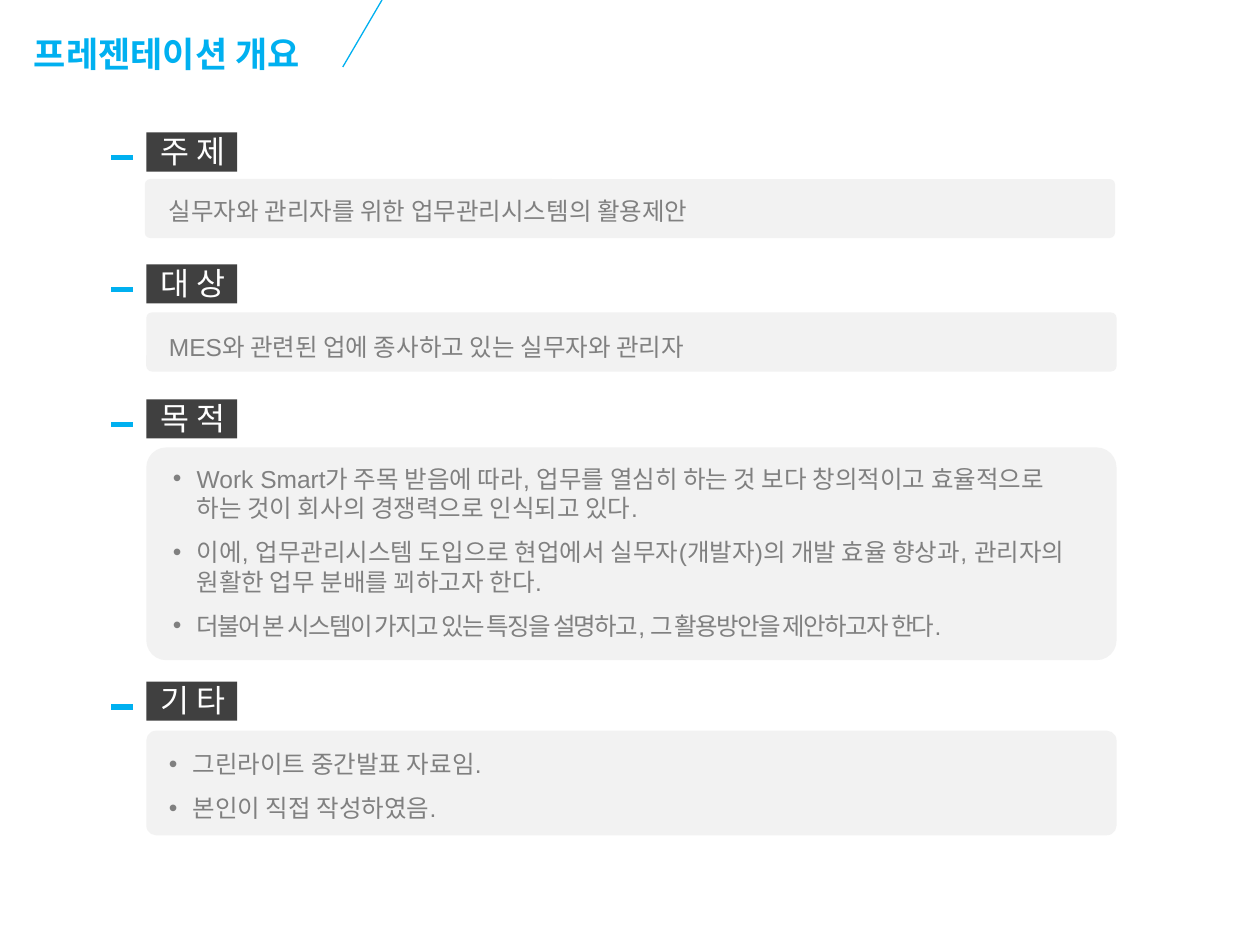
"""Build the presentation overview slide with four labelled sections."""
from dataclasses import dataclass

from lxml import etree
from pptx import Presentation
from pptx.dml.color import RGBColor
from pptx.enum import shapes, text
from pptx.oxml.ns import qn
from pptx.util import Cm, Pt


@dataclass(frozen=True)
class Theme:
    accent: RGBColor = RGBColor(0x00, 0xB0, 0xF0)
    tag: RGBColor = RGBColor(0x40, 0x40, 0x40)
    panel: RGBColor = RGBColor(0xF2, 0xF2, 0xF2)
    body: RGBColor = RGBColor(0x80, 0x80, 0x80)
    white: RGBColor = RGBColor(0xFF, 0xFF, 0xFF)
    heading_font: str = "Noto Sans CJK KR"
    body_font: str = "Arial"
    title_size: int = 20
    tag_size: int = 18
    body_size: int = 14


@dataclass(frozen=True)
class Box:
    left: float
    top: float
    width: float
    height: float

    def lengths(self) -> tuple:
        return Cm(self.left), Cm(self.top), Cm(self.width), Cm(self.height)


@dataclass(frozen=True)
class Section:
    label: str
    tag_top: float
    panel: Box
    body: Box
    lines: tuple
    bullets: bool = False
    line_spacing: float = 1.5
    gap: float = 0
    wrap: bool = True
    tight_last: bool = False


THEME = Theme()
TITLE = "프레젠테이션 개요"
INDENT = Cm(0.48)
SECTIONS = (
    Section("주 제", 2.67, Box(2.92, 3.61, 19.56, 1.19), Box(3.15, 3.53, 16.15, 1.04),
            ("실무자와 관리자를 위한 업무관리시스템의 활용제안",)),
    Section("대 상", 5.33, Box(2.95, 6.3, 19.56, 1.19), Box(3.15, 6.27, 12.01, 1.04),
            ("MES와 관련된 업에 종사하고 있는 실무자와 관리자",), wrap=False),
    Section("목 적", 8.05, Box(2.95, 9.02, 19.56, 4.29), Box(3.23, 9.22, 18.87, 3.84),
            ("Work Smart가 주목 받음에 따라, 업무를 열심히 하는 것 보다 창의적이고 "
             "효율적으로 하는 것이 회사의 경쟁력으로 인식되고 있다.",
             "이에, 업무관리시스템 도입으로 현업에서 실무자(개발자)의 개발 효율 향상과, "
             "관리자의 원활한 업무 분배를 꾀하고자 한다.",
             "더불어 본 시스템이 가지고 있는 특징을 설명하고, 그 활용방안을 제안하고자 한다."),
            bullets=True, line_spacing=1, gap=8.4, tight_last=True),
    Section("기 타", 13.74, Box(2.95, 14.73, 19.56, 2.11), Box(3.15, 14.68, 16.15, 2.06),
            ("그린라이트 중간발표 자료임.", "본인이 직접 작성하였음."), bullets=True),
)


def add_line(slide, start: tuple, end: tuple, width: float) -> None:
    line = slide.shapes.add_connector(
        shapes.MSO_CONNECTOR.STRAIGHT, *(Cm(v) for v in start + end))
    line.line.color.rgb = THEME.accent
    line.line.width = Pt(width)
    etree.SubElement(line._element.spPr, qn("a:effectLst"))


def add_block(slide, kind, box: Box, color: RGBColor):
    sp = slide.shapes.add_shape(kind, *box.lengths())
    sp.shadow.inherit = False
    sp.fill.solid()
    sp.fill.fore_color.rgb = color
    sp.line.fill.background()
    return sp


def place(sp, box: Box, wrap: bool):
    sp.left, sp.top, sp.width, sp.height = box.lengths()
    tf = sp.text_frame
    tf.word_wrap = wrap
    tf.auto_size = text.MSO_AUTO_SIZE.NONE
    tf.vertical_anchor = text.MSO_ANCHOR.TOP
    return tf


def style(p, font: str, size: int, color: RGBColor, align, bold: bool = False) -> None:
    p.font.name, p.font.size, p.font.bold = font, Pt(size), bold
    p.font.color.rgb = color
    p.alignment = align


def set_bullet(p, shown: bool) -> None:
    pPr = p._p.get_or_add_pPr()
    pPr.set("marL", str(INDENT if shown else 0))
    pPr.set("indent", str(-INDENT if shown else 0))
    tag = "a:buChar" if shown else "a:buNone"
    bullet = etree.Element(qn(tag), {"char": "•"} if shown else {})
    pPr.find(qn("a:defRPr")).addprevious(bullet)


def add_tag(slide, section: Section) -> None:
    top = section.tag_top
    add_line(slide, (2.24, top + 0.51), (2.69, top + 0.51), 3)
    add_block(slide, shapes.MSO_SHAPE.RECTANGLE, Box(2.95, top, 1.83, 0.79), THEME.tag)
    box = Box(2.87, top - 0.14, 2.03, 1.02)
    tf = place(slide.shapes.add_textbox(*box.lengths()), box, False)
    p = tf.paragraphs[0]
    p.text = section.label
    style(p, THEME.heading_font, THEME.tag_size, THEME.white, text.PP_ALIGN.CENTER)


def fill_body(sp, section: Section) -> None:
    tf = place(sp, section.body, section.wrap)
    tf.text = "\n".join(section.lines)
    for i, p in enumerate(tf.paragraphs):
        style(p, THEME.body_font, THEME.body_size, THEME.body, text.PP_ALIGN.LEFT)
        p.line_spacing = section.line_spacing
        p.space_before = Pt(section.gap if i else 0)
        set_bullet(p, section.bullets)
    if section.tight_last:
        tf.paragraphs[-1].runs[0].font._element.set("spc", "-100")


def main() -> None:
    prs = Presentation()
    prs.slide_width, prs.slide_height = Cm(25.4), Cm(19.05)
    slide = prs.slides.add_slide(prs.slide_layouts.get_by_name("Comparison"))
    title, *bodies = slide.placeholders

    tf = place(title, Box(0.43, 0.53, 6.45, 1.12), False)
    tf.text = TITLE
    style(tf.paragraphs[0], THEME.heading_font, THEME.title_size, THEME.accent,
          text.PP_ALIGN.LEFT, bold=True)
    add_line(slide, (7.7, 0), (6.91, 1.35), 0.75)

    for section, body in zip(SECTIONS, bodies):
        panel = add_block(slide, shapes.MSO_SHAPE.ROUNDED_RECTANGLE,
                          section.panel, THEME.panel)
        panel.adjustments[0] = 0.094
        add_tag(slide, section)
        fill_body(body, section)
        panel._element.addnext(body._element)

    prs.save("out.pptx")


if __name__ == "__main__":
    main()
